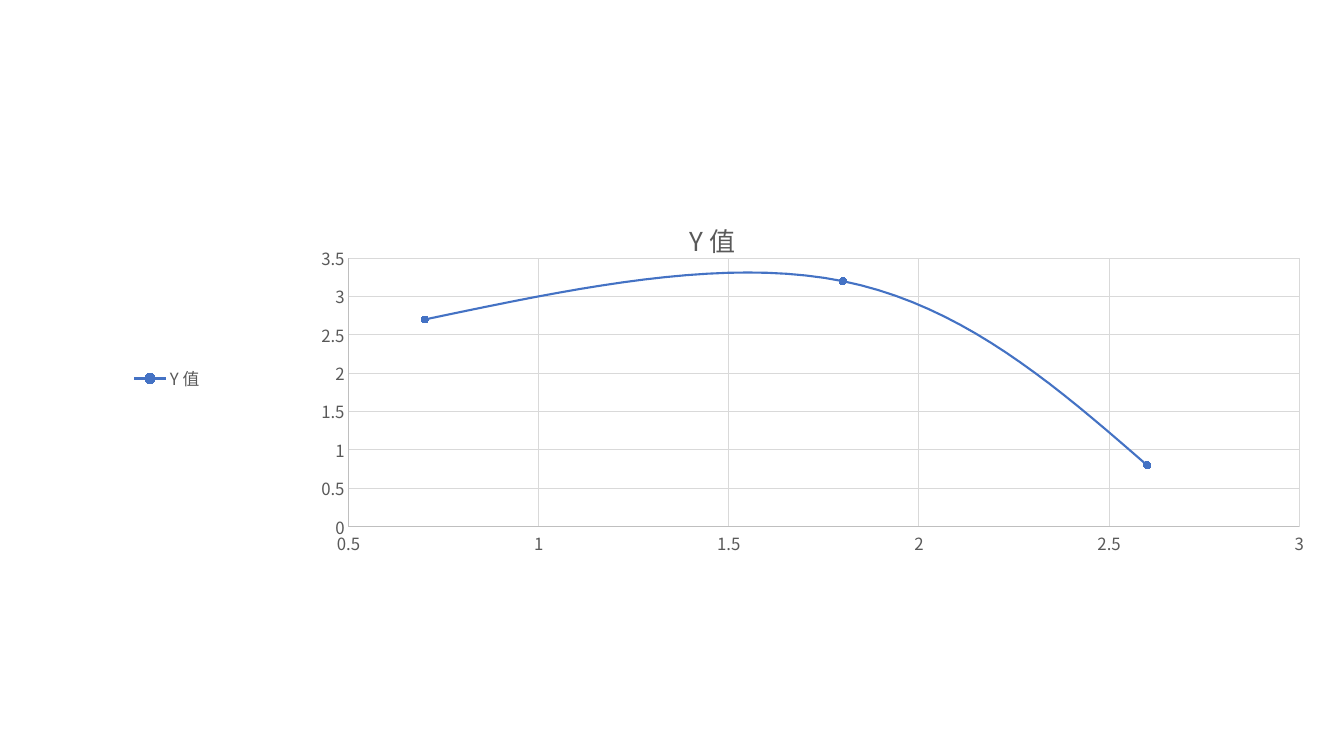
import lxml.etree
import pptx
import pptx.chart.data
import pptx.dml.color
import pptx.enum.chart
import pptx.oxml.ns
import pptx.util

HUES = {"text": "595959", "grid": "D9D9D9", "axis": "BFBFBF", "curve": "4472C4"}
FACE = "Noto Sans CJK SC"
NAME = "Y 值"
DOTS = [(0.7, 2.7), (1.8, 3.2), (2.6, 0.8)]
qn = pptx.oxml.ns.qn


def hue(key):
    return pptx.dml.color.RGBColor.from_string(HUES[key])


def style(font, size=12, color="text", face=FACE):
    font.size = pptx.util.Pt(size)
    font.bold = False
    font.name = face
    font.color.rgb = hue(color)
    east = lxml.etree.Element(qn("a:ea"), typeface=face)
    font._element.find(qn("a:latin")).addnext(east)


def write(frame, text, **form):
    frame.text = text
    style(frame.paragraphs[0].runs[0].font, **form)


def place(node, inner=False, **box):
    old = node.find(qn("c:layout"))
    if old is not None:
        node.remove(old)
    layout = lxml.etree.Element(qn("c:layout"))
    manual = lxml.etree.SubElement(layout, qn("c:manualLayout"))
    if inner:
        lxml.etree.SubElement(manual, qn("c:layoutTarget"), val="inner")
    for tag in ("xMode", "yMode"):
        lxml.etree.SubElement(manual, qn("c:" + tag), val="edge")
    for tag, size in box.items():
        lxml.etree.SubElement(manual, qn("c:" + tag), val=str(size))
    over = node.find(qn("c:overlay"))
    if over is None:
        node.insert(0, layout)
    else:
        over.addprevious(layout)


class Deck:
    def __init__(self):
        self.show = pptx.Presentation()
        self.show.slide_width = pptx.util.Inches(13.33)
        self.show.slide_height = pptx.util.Inches(7.5)
        self.slide = self.show.slides.add_slide(self.show.slide_layouts[6])

    def line(self, form, key, width=0.75):
        form.color.rgb = hue(key)
        form.width = pptx.util.Pt(width)

    def chart(self, left, top, width, height):
        data = pptx.chart.data.XyChartData()
        row = data.add_series(NAME)
        for x, y in DOTS:
            row.add_data_point(x, y)
        box = [pptx.util.Inches(n) for n in (left, top, width, height)]
        kind = pptx.enum.chart.XL_CHART_TYPE.XY_SCATTER_SMOOTH
        chart = self.slide.shapes.add_chart(kind, *box, data).chart
        style(chart.font)
        chart.plots[0].vary_by_categories = False
        place(chart._chartSpace.find(".//" + qn("c:plotArea")), inner=True,
              x=0.25, y=0.173, w=0.735, h=0.73)
        return chart

    def title(self, chart):
        chart.has_title = True
        write(chart.chart_title.text_frame, NAME, size=18.6)
        place(chart.chart_title._element, x=0.51, y=0.05)

    def legend(self, chart):
        chart.has_legend = True
        chart.legend.position = pptx.enum.chart.XL_LEGEND_POSITION.LEFT
        chart.legend.include_in_layout = False
        style(chart.legend.font)
        place(chart.legend._element, x=0.08, y=0.455)

    def axis(self, axis, low, high):
        axis.minimum_scale, axis.maximum_scale = low, high
        axis.major_unit = 0.5
        axis.major_tick_mark = pptx.enum.chart.XL_TICK_MARK.NONE
        axis.minor_tick_mark = pptx.enum.chart.XL_TICK_MARK.NONE
        axis.has_major_gridlines = True
        self.line(axis.major_gridlines.format.line, "grid")
        self.line(axis.format.line, "axis")
        style(axis.tick_labels.font)

    def curve(self, row):
        self.line(row.format.line, "curve", 1.5)
        row._element.find(qn("c:smooth")).set("val", "1")
        row.marker.style = pptx.enum.chart.XL_MARKER_STYLE.CIRCLE
        row.marker.size = 5
        row.marker.format.fill.solid()
        row.marker.format.fill.fore_color.rgb = hue("curve")
        self.line(row.marker.format.line, "curve")


def main():
    deck = Deck()
    chart = deck.chart(0.25, 1.93, 12.83, 3.65)
    deck.title(chart)
    deck.legend(chart)
    deck.axis(chart.category_axis, 0.5, 3)
    deck.axis(chart.value_axis, 0, 3.5)
    deck.curve(chart.plots[0].series[0])
    deck.show.save("out.pptx")


if __name__ == "__main__":
    main()
